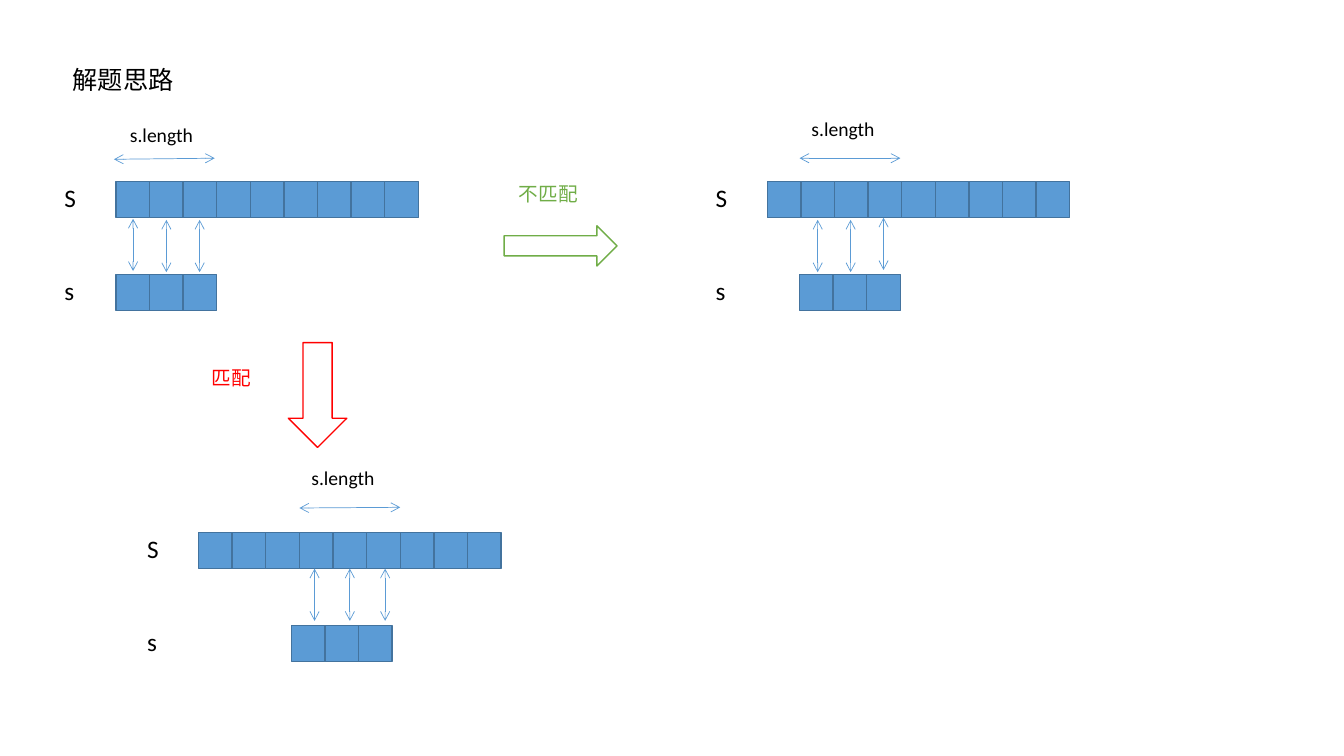
from lxml import etree
from pptx import Presentation
from pptx import util as u
from pptx.dml.color import RGBColor
from pptx.enum import shapes, text
from pptx.oxml import ns

COLORS = {"text": "000000", "cell": "5B9BD5", "edge": "43739E",
          "mismatch": "70AD47", "match": "FF0000", "paper": "FFFFFF"}
# One grid unit is one cell of a string strip.
COLUMN, ROW = u.Inches(1 / 3), u.Inches(0.36)
SHORT_DROP = 2.56
LABEL_SHIFT, LABEL_RISE = 1.83, 0.11

# Each case places its parts in grid units relative to the long strip.
CASES = [
    {"origin": (3.45, 5), "short": 0, "pointers": (0.51, 0.99),
     "tops": (1.03, 1.06, 1.06), "span": (-0.06, -0.61, -0.64),
     "caption": (0.12, -1.75)},
    {"origin": (22.83, 5), "short": 0.96, "pointers": (1.5, 0.98),
     "tops": (1.06, 1.06, 1), "span": (0.96, -0.64, -0.64),
     "caption": (1.02, -1.92)},
    {"origin": (5.91, 14.67), "short": 2.76, "pointers": (3.45, 1.05),
     "tops": (1, 1, 1), "span": (3, -0.67, -0.69),
     "caption": (3.06, -1.97)},
]


def rgb(name):
    return RGBColor.from_string(COLORS[name])


class Board:
    """Draws on one slide, with every length in grid columns and rows."""

    def __init__(self, slide, font="Calibri"):
        self.slide = slide
        self.font = font

    def box(self, column, row, columns, rows):
        return [round(value) for value in (column * COLUMN, row * ROW,
                                           columns * COLUMN, rows * ROW)]

    def set_text(self, shape, words, size, color="text",
                 align=text.PP_ALIGN.LEFT):
        frame = shape.text_frame
        frame.text = words
        frame.word_wrap = True
        frame.auto_size = text.MSO_AUTO_SIZE.SHAPE_TO_FIT_TEXT
        frame.vertical_anchor = text.MSO_ANCHOR.TOP
        paragraph = frame.paragraphs[0]
        paragraph.alignment = align
        paragraph.font.name = self.font
        paragraph.font.size = u.Pt(size)
        paragraph.font.color.rgb = rgb(color)
        return frame

    def title(self, words, *box):
        shape = self.slide.shapes.title
        shape.left, shape.top, shape.width, shape.height = self.box(*box)
        self.set_text(shape, words, 18)

    def label(self, words, *box, size=14, **style):
        shape = self.slide.shapes.add_textbox(*self.box(*box))
        return self.set_text(shape, words, size, **style)

    def paint(self, shape, fill, line):
        shape.shadow.inherit = False
        shape.fill.solid()
        shape.fill.fore_color.rgb = rgb(fill)
        shape.line.color.rgb = rgb(line)
        shape.line.width = u.Pt(1)

    def strip(self, column, row, count):
        """Draw a row of adjoining cells as one outline."""
        builder = self.slide.shapes.build_freeform()
        for index in range(count):
            left, top, right, bottom = self.box(
                column + index, row, column + index + 1, row + 1)
            if index == 0:
                builder = self.slide.shapes.build_freeform(left, top)
            else:
                builder.move_to(left, top)
            builder.add_line_segments(
                [(right, top), (right, bottom), (left, bottom)], close=True)
        self.paint(builder.convert_to_shape(), "cell", "edge")

    def block_arrow(self, kind, color, *box):
        shape = self.slide.shapes.add_shape(kind, *self.box(*box))
        self.paint(shape, "paper", color)

    def double_arrow(self, *ends):
        connector = self.slide.shapes.add_connector(
            shapes.MSO_CONNECTOR.STRAIGHT, *self.box(*ends))
        connector.line.color.rgb = rgb("cell")
        connector.line.width = u.Pt(0.5)
        properties = connector._element.spPr
        outline = properties.find(ns.qn("a:ln"))
        for end in ("a:headEnd", "a:tailEnd"):
            etree.SubElement(outline, ns.qn(end), type="arrow")
        etree.SubElement(properties, ns.qn("a:effectLst"))

    def case(self, origin, short, pointers, tops, span, caption):
        """Draw the long string above the short one it is compared with."""
        column, row = origin
        self.strip(column, row, 9)
        self.strip(column + short, row + SHORT_DROP, 3)
        for name, drop in (("S", 0), ("s", SHORT_DROP)):
            self.label(name, column - LABEL_SHIFT, row + drop - LABEL_RISE,
                       1, 1.11, size=18)
        first, step = pointers
        for index, top in enumerate(tops):
            center = column + first + index * step
            self.double_arrow(center, row + top, center, row + top + 1.44)
        start, left_rise, right_rise = span
        self.double_arrow(column + start, row + left_rise,
                          column + start + 3, row + right_rise)
        self.label("s.length", column + caption[0], row + caption[1], 2.88, 0.94)

    def outcome(self, words, color, column, row, align):
        frame = self.label(words, column, row, 3.72, 0.94,
                           color=color, align=align)
        frame.margin_left = round(0.44 * COLUMN)


def main():
    presentation = Presentation()
    presentation.slide_width = u.Inches(13.33)
    presentation.slide_height = u.Inches(7.5)
    slide = presentation.slides.add_slide(presentation.slide_layouts[5])
    board = Board(slide)
    board.title("解题思路", 1.86, 1.64, 32.37, 1.11)
    for case in CASES:
        board.case(**case)
    board.outcome("不匹配", "mismatch", 15, 4.89, text.PP_ALIGN.LEFT)
    board.block_arrow(shapes.MSO_SHAPE.RIGHT_ARROW, "mismatch",
                      15, 6.22, 3.36, 1.11)
    board.outcome("匹配", "match", 4.95, 9.94, text.PP_ALIGN.CENTER)
    board.block_arrow(shapes.MSO_SHAPE.DOWN_ARROW, "match",
                      8.58, 9.44, 1.74, 2.89)
    presentation.save("out.pptx")


if __name__ == "__main__":
    main()
